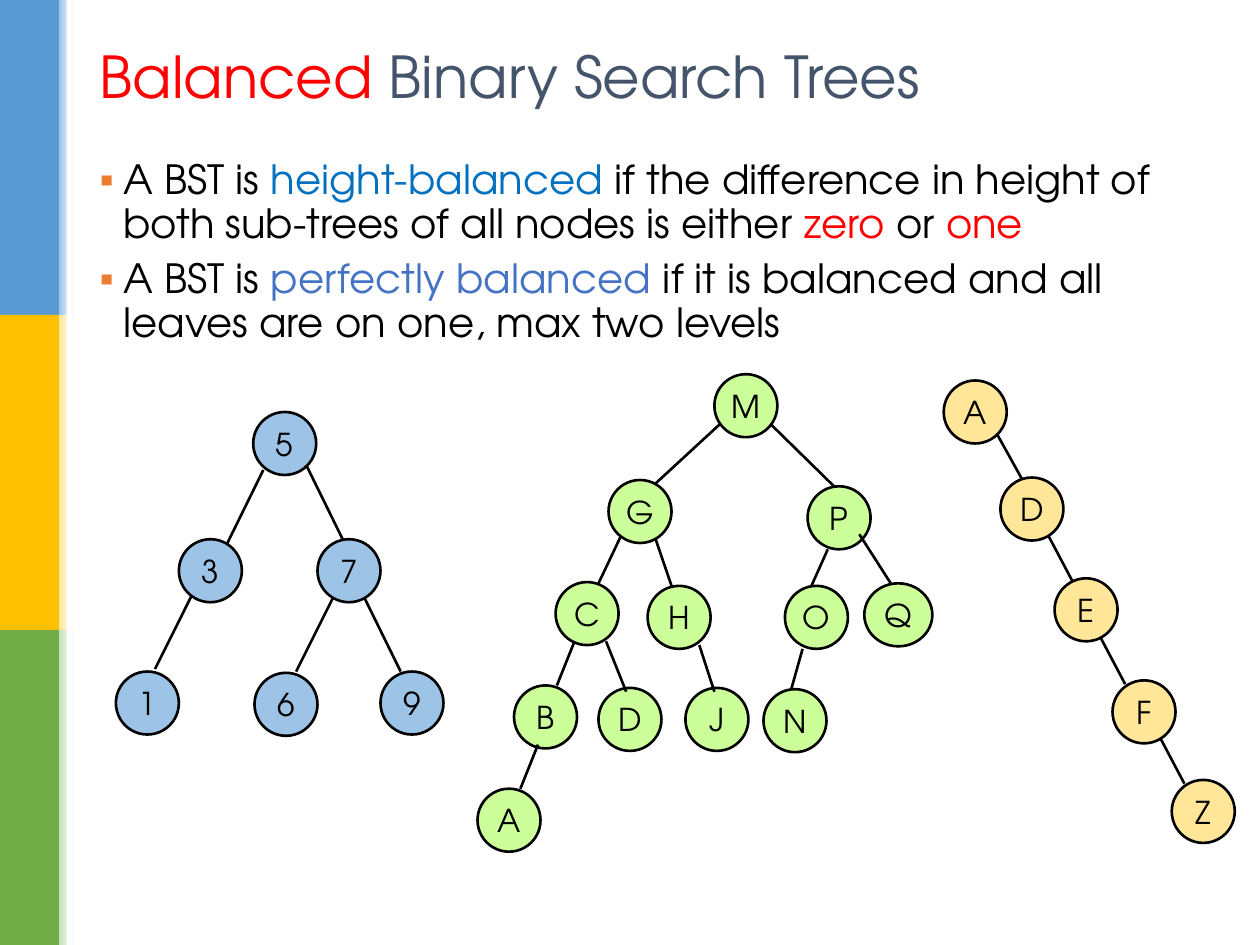
import pptx
import pptx.util
import pptx.dml.color
import pptx.enum.shapes
import pptx.enum.text
import pptx.oxml
import pptx.oxml.ns
from lxml import etree

FONT = "TeX Gyre Adventor"
BLACK, RED = "000000", "FF0000"
NODE_SIZE = 0.5

TITLE = [("Balanced", RED), (" Binary Search Trees", "44546A")]
BULLETS = [
    [("A BST is ", BLACK), ("height-balanced", "0070C0"),
     (" if the difference in height of both sub-trees of all nodes is either ", BLACK),
     ("zero", RED), (" or ", BLACK), ("one", RED)],
    [("A BST is ", BLACK), ("perfectly balanced ", "4472C4"),
     ("if it is balanced and all leaves are on one, max two levels", BLACK)],
]

# Sidebar bands from top to bottom: solid colour, start of the fading edge
BANDS = [("5B9BD5", "9DC3E6"), ("FFC000", "FFE699"), ("70AD47", "C5E0B4")]

# Each tree: fill, then nodes as (key, left, top, branch from the parent)
TREES = [
    ("9DC3E6", [
        ("5", 2.01, 3.27, None),
        ("3", 1.42, 4.28, (2.09, 3.73, 1.8, 4.32)),
        ("7", 2.52, 4.28, (2.43, 3.69, 2.72, 4.28)),
        ("1", 0.92, 5.33, (1.52, 4.73, 1.23, 5.31)),
        ("6", 2.02, 5.34, (2.64, 4.75, 2.35, 5.33)),
        ("9", 3.02, 5.33, (2.89, 4.74, 3.18, 5.33)),
    ]),
    ("CCFF99", [
        ("M", 5.67, 2.97, None),
        ("G", 4.83, 3.81, (5.71, 3.37, 5.2, 3.84)),
        ("P", 6.41, 3.86, (6.12, 3.37, 6.62, 3.86)),
        ("C", 4.41, 4.62, (4.93, 4.25, 4.75, 4.63)),
        ("H", 5.14, 4.65, (5.2, 4.27, 5.33, 4.65)),
        ("O", 6.23, 4.65, (6.57, 4.36, 6.44, 4.65)),
        ("Q", 6.86, 4.63, (6.82, 4.24, 7.07, 4.63)),
        ("B", 4.08, 5.44, (4.56, 5.09, 4.42, 5.44)),
        ("D", 4.75, 5.46, (4.81, 5.09, 4.97, 5.49)),
        ("J", 5.44, 5.46, (5.55, 5.12, 5.67, 5.49)),
        ("N", 6.06, 5.47, (6.37, 5.15, 6.28, 5.47)),
        ("A", 3.79, 6.26, (4.27, 5.91, 4.13, 6.26)),
    ]),
    ("FFE699", [
        ("A", 7.49, 3.02, None),
        ("D", 7.94, 3.79, (7.91, 3.44, 8.11, 3.8)),
        ("E", 8.37, 4.59, (8.32, 4.25, 8.51, 4.61)),
        ("F", 8.83, 5.4, (8.74, 5.07, 8.93, 5.43)),
        ("Z", 9.3, 6.19, (9.21, 5.86, 9.4, 6.22)),
    ]),
]
WIDE_NODES = {"Q": 0.54}

prs = pptx.Presentation()
prs.slide_width, prs.slide_height = pptx.util.Inches(10), pptx.util.Inches(7.5)
slide = prs.slides.add_slide(prs.slide_layouts[1])


def inches(*lengths):
    return [pptx.util.Inches(length) for length in lengths]


def rgb(color):
    return pptx.dml.color.RGBColor.from_string(color)


def add_shape(preset, box, fill=None):
    shape = slide.shapes.add_shape(preset, *inches(*box))
    shape.shadow.inherit = False
    shape.line.fill.background()
    if fill:
        shape.fill.solid()
        shape.fill.fore_color.rgb = rgb(fill)
    return shape


def outline(line):
    line.color.rgb = rgb(BLACK)
    line.width = pptx.util.Pt(1.5)


def place(placeholder, box, anchor):
    placeholder.left, placeholder.top, placeholder.width, placeholder.height = inches(*box)
    frame = placeholder.text_frame
    frame.word_wrap = True
    frame.auto_size = pptx.enum.text.MSO_AUTO_SIZE.NONE
    frame.vertical_anchor = anchor
    return frame


def write(paragraph, runs, size):
    paragraph.alignment = pptx.enum.text.PP_ALIGN.LEFT
    paragraph.font.name, paragraph.font.size = FONT, pptx.util.Pt(size)
    for text, color in runs:
        run = paragraph.add_run()
        run.text = text
        run.font.color.rgb = rgb(color)


def add_bullet(paragraph):
    props = paragraph._p.get_or_add_pPr()
    indent = pptx.util.Inches(0.19)
    props.set("marL", str(indent))
    props.set("indent", str(-indent))
    color = etree.SubElement(props, pptx.oxml.ns.qn("a:buClr"))
    etree.SubElement(color, pptx.oxml.ns.qn("a:srgbClr"), val="ED7D31")
    mark = etree.SubElement(props, pptx.oxml.ns.qn("a:buChar"), char="▪")
    # Bullet settings come before the default run properties
    defaults = props.find(pptx.oxml.ns.qn("a:defRPr"))
    if defaults is not None:
        mark.addnext(defaults)


def add_branch(ends):
    branch = slide.shapes.add_connector(
        pptx.enum.shapes.MSO_CONNECTOR.STRAIGHT, *inches(*ends))
    outline(branch.line)
    etree.SubElement(branch._element.spPr, pptx.oxml.ns.qn("a:effectLst"))


def add_node(key, left, top, fill):
    node = add_shape(pptx.enum.shapes.MSO_SHAPE.OVAL,
                     (left, top, WIDE_NODES.get(key, NODE_SIZE), NODE_SIZE), fill)
    outline(node.line)
    frame = node.text_frame
    frame.word_wrap = False
    frame.vertical_anchor = pptx.enum.text.MSO_ANCHOR.MIDDLE
    label = frame.paragraphs[0]
    label.text = key
    label.alignment = pptx.enum.text.PP_ALIGN.CENTER
    label.font.name, label.font.size = FONT, pptx.util.Pt(18)
    label.font.color.rgb = rgb(BLACK)


# Sidebar
RECTANGLE = pptx.enum.shapes.MSO_SHAPE.RECTANGLE
band_height = 7.5 / len(BANDS)
for row, (solid, pale) in enumerate(BANDS):
    add_shape(RECTANGLE, (0, row * band_height, 0.47, band_height), solid)
    edge = add_shape(RECTANGLE, (0.47, row * band_height, 0.12, band_height))
    edge.fill.gradient()
    edge.fill.gradient_angle = 0
    for stop, color in zip(edge.fill.gradient_stops, (pale, "FFFFFF")):
        stop.color.rgb = rgb(color)
add_shape(RECTANGLE, (0.53, 0, 0.04, 7.5), "FFFFFF")

# Title and definitions
heading = place(slide.shapes.title, (0.69, 0.26, 8.62, 0.68),
                pptx.enum.text.MSO_ANCHOR.MIDDLE)
write(heading.paragraphs[0], TITLE, 33)
definitions = place(slide.placeholders[1], (0.69, 1.22, 8.86, 5.83),
                    pptx.enum.text.MSO_ANCHOR.TOP)
for number, runs in enumerate(BULLETS):
    definition = definitions.add_paragraph() if number else definitions.paragraphs[0]
    write(definition, runs, 23)
    definition.line_spacing = 0.9
    definition.space_before = pptx.util.Pt(7)
    add_bullet(definition)

# Trees
for fill, nodes in TREES:
    for key, left, top, branch in nodes:
        add_node(key, left, top, fill)
    for key, left, top, branch in nodes:
        if branch:
            add_branch(branch)

prs.save("out.pptx")
